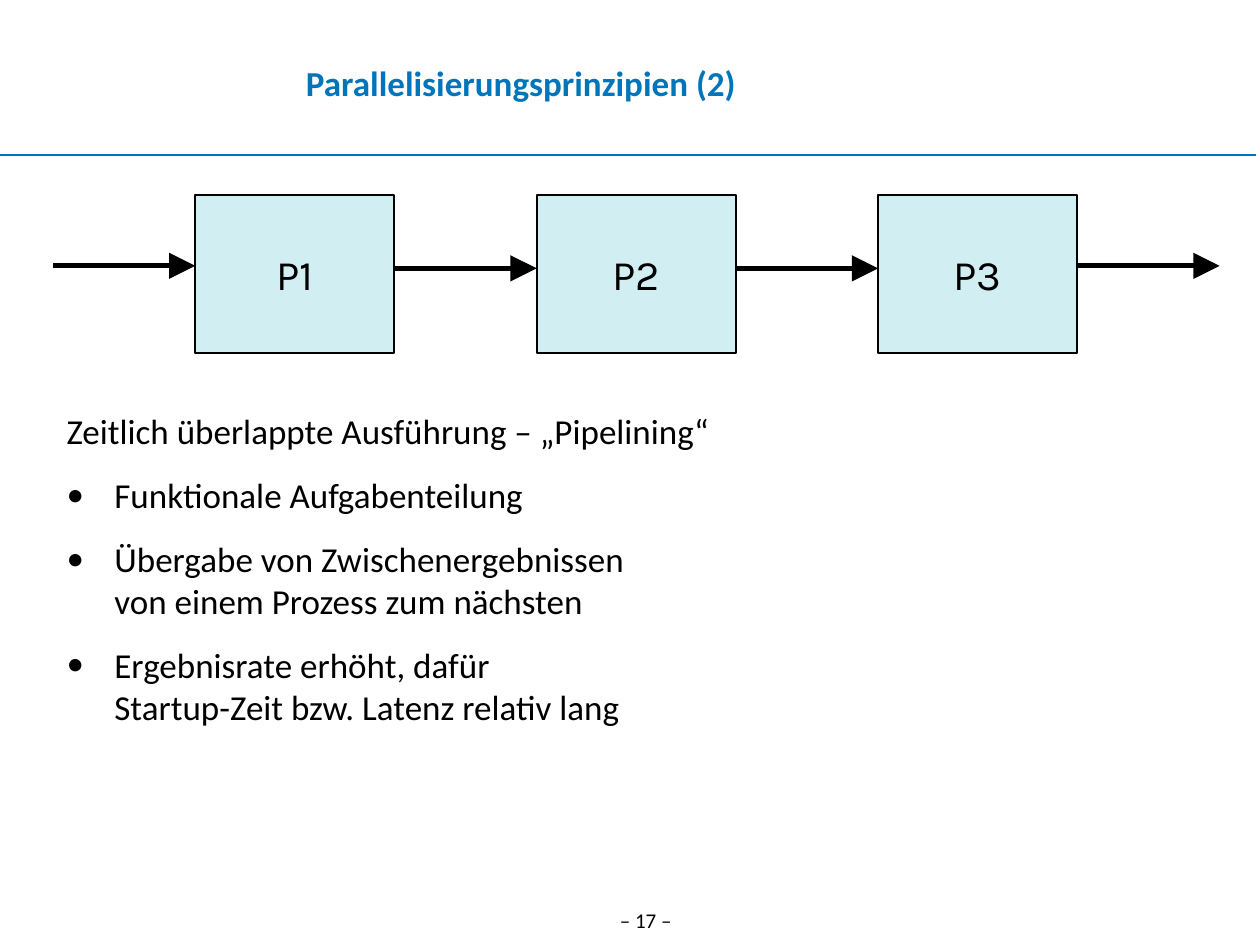
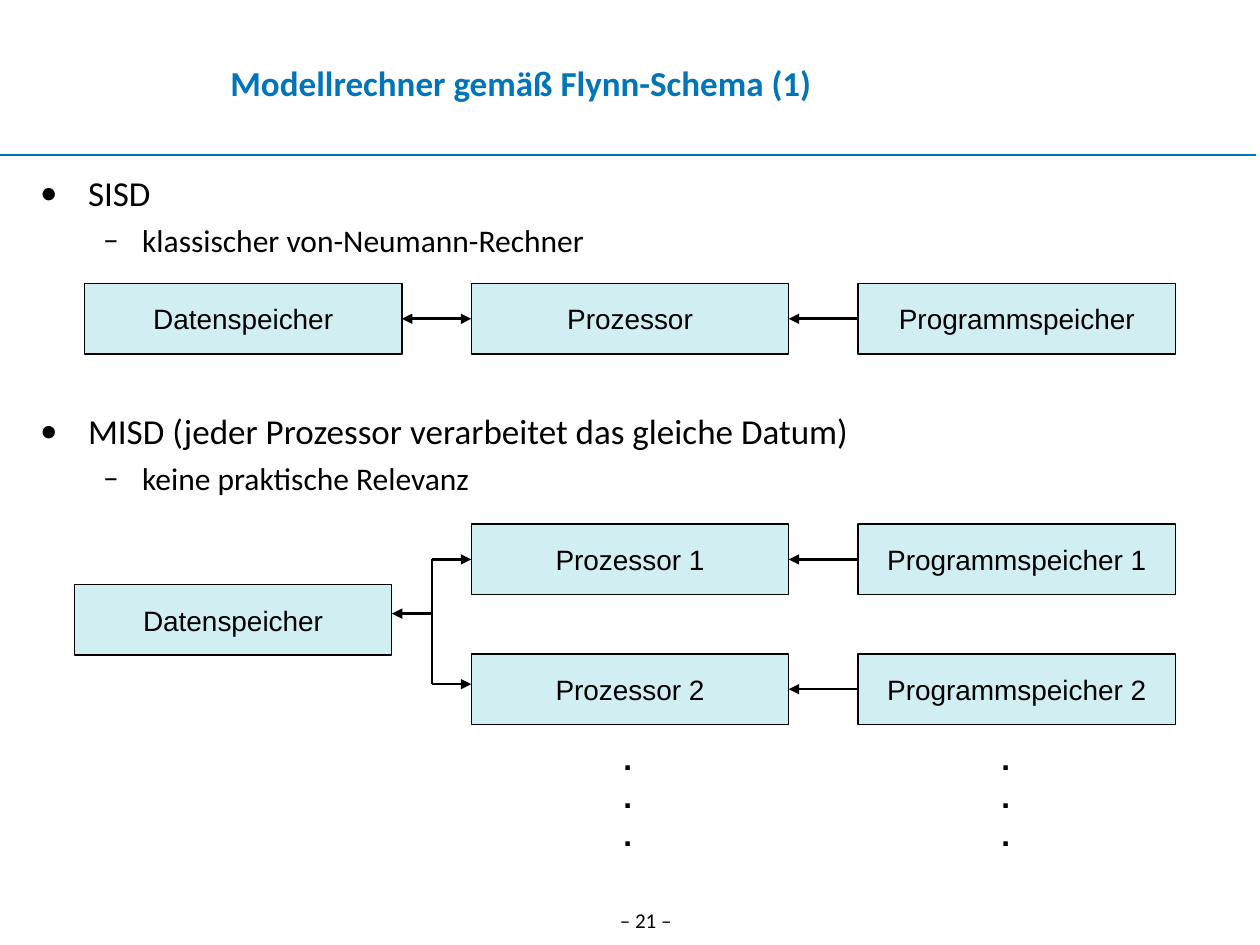
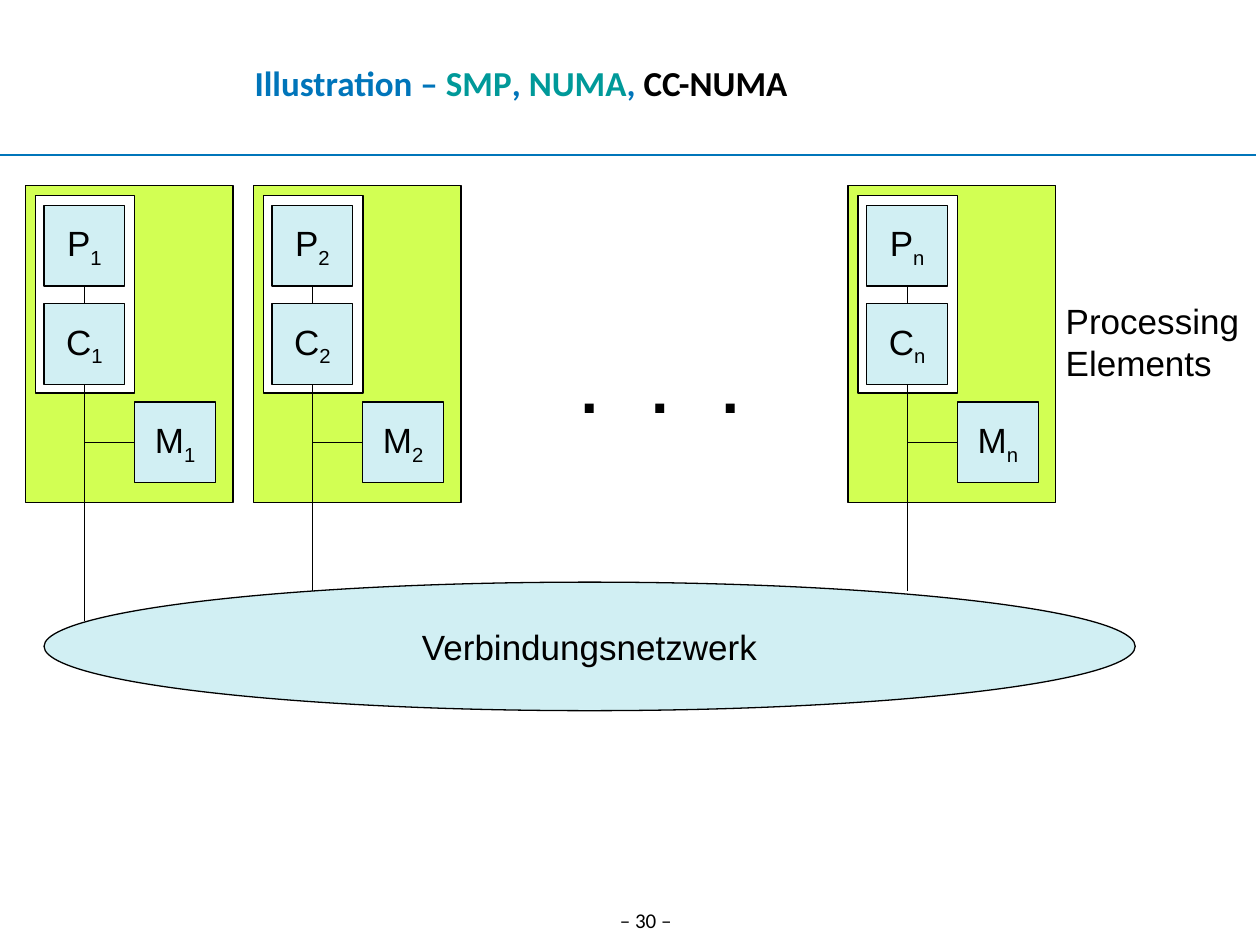
import dataclasses
import typing

import lxml.etree
import pptx
import pptx.dml.color
import pptx.enum.shapes
import pptx.enum.text
import pptx.oxml.ns
import pptx.util

Inches = pptx.util.Inches
qn = pptx.oxml.ns.qn
SHAPES = pptx.enum.shapes.MSO_SHAPE
ALIGN = pptx.enum.text.PP_ALIGN
ANCHOR = pptx.enum.text.MSO_ANCHOR

BLACK = "000000"
WHITE = "FFFFFF"
BLUE = "0075BA"
TEAL = "009999"
PALE_BLUE = "D1EFF3"
LIME = "D2FF53"


@dataclasses.dataclass(frozen=True)
class TextStyle:
    size: float
    font: str
    color: str = BLACK
    bold: bool = False


@dataclasses.dataclass(frozen=True)
class Area:
    left: float
    top: float
    width: float
    height: float

    def lengths(self) -> list:
        return [Inches(value) for value in dataclasses.astuple(self)]


@dataclasses.dataclass(frozen=True)
class BulletLevel:
    bullet: str
    margin: float
    indent: float
    space_before: float
    style: TextStyle


@dataclasses.dataclass(frozen=True)
class ProcessingElement:
    index: str
    left: float
    stem_bottom: float


TITLE = TextStyle(20, "Calibri", BLUE, True)
PAGE_NUMBER = TextStyle(12, "Calibri")
STAGE = TextStyle(24, "Karla")
COMPONENT = TextStyle(16, "Arial")
NODE = TextStyle(20, "Arial")
ROW_DOTS = TextStyle(18, "Arial", bold=True)
COLUMN_DOTS = TextStyle(36, "Arial", bold=True)
BODY = TextStyle(20, "Calibri")

LEAD = BulletLevel("", 0.38, -0.38, 12.5, BODY)
POINT = BulletLevel("•", 0.38, -0.38, 12.5, BODY)
DETAIL = BulletLevel("–", 0.81, -0.31, 4.5, TextStyle(18, "Calibri"))


def rgb(color: str) -> pptx.dml.color.RGBColor:
    return pptx.dml.color.RGBColor.from_string(color)


def format_run(run, style: TextStyle) -> None:
    run.font.size = pptx.util.Pt(style.size)
    run.font.name = style.font
    run.font.bold = style.bold
    run.font.color.rgb = rgb(style.color)


def write(shape, text: str, style: TextStyle, align=ALIGN.LEFT) -> None:
    shape.text_frame.text = text
    for paragraph in shape.text_frame.paragraphs:
        paragraph.alignment = align
        for run in paragraph.runs:
            format_run(run, style)


def add_text(slide, area: Area, text: str, style: TextStyle, align=ALIGN.LEFT):
    box = slide.shapes.add_textbox(*area.lengths())
    box.text_frame.word_wrap = True
    write(box, text, style, align)
    return box


def add_box(slide, area: Area, text: str = "", style: TextStyle = NODE,
            fill: str = PALE_BLUE, border: float = 0.75, kind=SHAPES.RECTANGLE):
    shape = slide.shapes.add_shape(kind, *area.lengths())
    shape.shadow.inherit = False
    shape.fill.solid()
    shape.fill.fore_color.rgb = rgb(fill)
    shape.line.color.rgb = rgb(BLACK)
    shape.line.width = pptx.util.Pt(border)
    if text:
        shape.text_frame.word_wrap = False
        shape.text_frame.vertical_anchor = ANCHOR.MIDDLE
        write(shape, text, style, ALIGN.CENTER)
    return shape


def add_line(slide, start: tuple, end: tuple, width: float = 0.75, color: str = BLACK,
             heads: typing.Sequence[str] = (), head_size: str = "med"):
    connector = slide.shapes.add_connector(
        pptx.enum.shapes.MSO_CONNECTOR.STRAIGHT,
        *[Inches(value) for value in (*start, *end)])
    connector.line.color.rgb = rgb(color)
    connector.line.width = pptx.util.Pt(width)
    properties = connector.element.spPr
    for head in heads:
        lxml.etree.SubElement(properties.find(qn("a:ln")), qn(f"a:{head}"),
                              type="triangle", w=head_size, len=head_size)
    lxml.etree.SubElement(properties, qn("a:effectLst"))
    return connector


def join(slide, left_box, right_box, heads: typing.Sequence[str]) -> None:
    connector = add_line(slide, (0, 0), (0, 0), 1.5, heads=heads)
    connector.begin_connect(left_box, 3)
    connector.end_connect(right_box, 1)


def add_bullets(slide, area: Area, items: list[tuple[BulletLevel, str]]) -> None:
    box = slide.shapes.add_textbox(*area.lengths())
    box.text_frame.word_wrap = True
    box.text_frame.text = "\n".join(text for _, text in items)
    for paragraph, (level, _) in zip(box.text_frame.paragraphs, items):
        paragraph.space_before = pptx.util.Pt(level.space_before)
        properties = paragraph._p.get_or_add_pPr()
        properties.set("marL", str(Inches(level.margin)))
        properties.set("indent", str(Inches(level.indent)))
        if level.bullet:
            lxml.etree.SubElement(properties, qn("a:buFont"), typeface=level.style.font)
            lxml.etree.SubElement(properties, qn("a:buChar"), char=level.bullet)
        for run in paragraph.runs:
            format_run(run, level.style)


def add_base_slide(presentation, number: int, title_parts: list[tuple[str, str]]):
    slide = presentation.slides.add_slide(presentation.slide_layouts[6])
    add_line(slide, (0, 1.23), (9.97, 1.23), color=BLUE)
    add_text(slide, Area(4.69, 7.15, 0.87, 0.3), f"– {number} –", PAGE_NUMBER, ALIGN.CENTER)
    title = slide.shapes.add_textbox(*Area(0.2, 0.23, 7.87, 0.85).lengths())
    frame = title.text_frame
    frame.word_wrap = True
    frame.vertical_anchor = ANCHOR.MIDDLE
    frame.margin_left = frame.margin_right = frame.margin_top = frame.margin_bottom = 0
    paragraph = frame.paragraphs[0]
    paragraph.alignment = ALIGN.CENTER
    for text, color in title_parts:
        run = paragraph.add_run()
        run.text = text
        format_run(run, dataclasses.replace(TITLE, color=color))
    return slide


def build_pipelining(presentation) -> None:
    slide = add_base_slide(presentation, 17, [("Parallelisierungsprinzipien (2)", BLUE)])
    add_bullets(slide, Area(0.43, 3.2, 9.27, 2.84), [
        (LEAD, "Zeitlich überlappte Ausführung – „Pipelining“"),
        (POINT, "Funktionale Aufgabenteilung"),
        (POINT, "Übergabe von Zwischenergebnissen\vvon einem Prozess zum nächsten"),
        (POINT, "Ergebnisrate erhöht, dafür\vStartup-Zeit bzw. Latenz relativ lang"),
    ])
    first_left, pitch, width = 1.55, 2.71, 1.58
    gap = pitch - width
    for position in range(3):
        area = Area(first_left + position * pitch, 1.55, width, 1.25)
        add_box(slide, area, f"P{position + 1}", STAGE, border=1)
    for position, y in enumerate((2.11, 2.13, 2.13, 2.11)):
        end = first_left + position * pitch
        add_line(slide, (end - gap, y), (end, y), 3, heads=["tailEnd"], head_size="lg")


def build_flynn_models(presentation) -> None:
    slide = add_base_slide(presentation, 21, [("Modellrechner gemäß Flynn-Schema (1)", BLUE)])
    add_bullets(slide, Area(0.22, 1.31, 9.78, 0.85), [
        (POINT, "SISD"),
        (DETAIL, "klassischer von-Neumann-Rechner"),
    ])
    add_bullets(slide, Area(0.22, 3.2, 9.78, 0.85), [
        (POINT, "MISD (jeder Prozessor verarbeitet das gleiche Datum)"),
        (DETAIL, "keine praktische Relevanz"),
    ])

    def component(left: float, top: float, text: str):
        return add_box(slide, Area(left, top, 2.52, 0.56), text, COMPONENT)

    def processor_row(top: float, suffix: str = ""):
        processor = component(3.74, top, f"Prozessor{suffix}")
        program = component(6.81, top, f"Programmspeicher{suffix}")
        join(slide, processor, program, ["headEnd"])
        return processor

    data_memory = component(0.67, 2.25, "Datenspeicher")
    join(slide, data_memory, processor_row(2.25), ["headEnd", "tailEnd"])

    component(0.59, 4.64, "Datenspeicher")
    first_processor = processor_row(4.16, " 1")
    processor_row(5.19, " 2")
    bus = 3.43
    branch = add_line(slide, (bus, 4.44), (3.74, 4.44), 1.5, heads=["tailEnd"])
    branch.end_connect(first_processor, 1)
    add_line(slide, (bus, 5.43), (3.74, 5.43), 1.5, heads=["tailEnd"])
    add_line(slide, (bus, 4.44), (bus, 5.43), 1.5)
    add_line(slide, (3.11, 4.87), (bus, 4.87), 1.5, heads=["headEnd"])
    for left in (4.85, 7.85):
        add_text(slide, Area(left, 5.82, 0.27, 1), ".\n.\n.", ROW_DOTS)


def add_node(slide, left: float, top: float, letter: str, index: str):
    node = add_box(slide, Area(left, top, 0.64, 0.64), letter)
    subscript = node.text_frame.paragraphs[0].add_run()
    subscript.text = index
    format_run(subscript, NODE)
    subscript._r.get_or_add_rPr().set("baseline", "-25000")
    return node


def add_processing_element(slide, element: ProcessingElement) -> None:
    left = element.left
    stem = left + 0.47
    add_box(slide, Area(left, 1.47, 1.65, 2.52), fill=LIME)
    memory = add_node(slide, left + 0.87, 3.19, "M", element.index)
    link = add_line(slide, (stem, 3.51), (left + 0.87, 3.51))
    link.end_connect(memory, 1)
    add_box(slide, Area(left + 0.08, 1.55, 0.79, 1.57), fill=WHITE)
    add_line(slide, (stem, 2.1), (stem, element.stem_bottom))
    add_node(slide, left + 0.15, 2.41, "C", element.index)
    add_node(slide, left + 0.15, 1.63, "P", element.index)


def build_numa_illustration(presentation) -> None:
    slide = add_base_slide(presentation, 30, [
        ("Illustration – ", BLUE), ("SMP", TEAL), (", ", BLUE),
        ("NUMA", TEAL), (", ", BLUE), ("CC-NUMA", BLACK),
    ])
    add_box(slide, Area(0.35, 4.62, 8.66, 1.02), "Verbindungsnetzwerk", kind=SHAPES.OVAL)
    for element in (
        ProcessingElement("1", 0.2, 4.93),
        ProcessingElement("2", 2.01, 4.69),
        ProcessingElement("n", 6.73, 4.69),
    ):
        add_processing_element(slide, element)
    dots = add_text(slide, Area(4.51, 2.73, 1.5, 0.7), ".\t.\t.", COLUMN_DOTS)
    properties = dots.text_frame.paragraphs[0]._p.get_or_add_pPr()
    tab_stops = lxml.etree.SubElement(properties, qn("a:tabLst"))
    for position in (1, 2):
        lxml.etree.SubElement(tab_stops, qn("a:tab"), pos=str(Inches(0.56 * position)), algn="l")
    label = add_text(slide, Area(8.36, 2.33, 1.64, 0.77), "Processing\nElements", NODE)
    label.text_frame.margin_right = 0


def main() -> None:
    presentation = pptx.Presentation()
    presentation.slide_width = Inches(10)
    presentation.slide_height = Inches(7.5)
    build_pipelining(presentation)
    build_flynn_models(presentation)
    build_numa_illustration(presentation)
    presentation.save("out.pptx")


if __name__ == "__main__":
    main()
